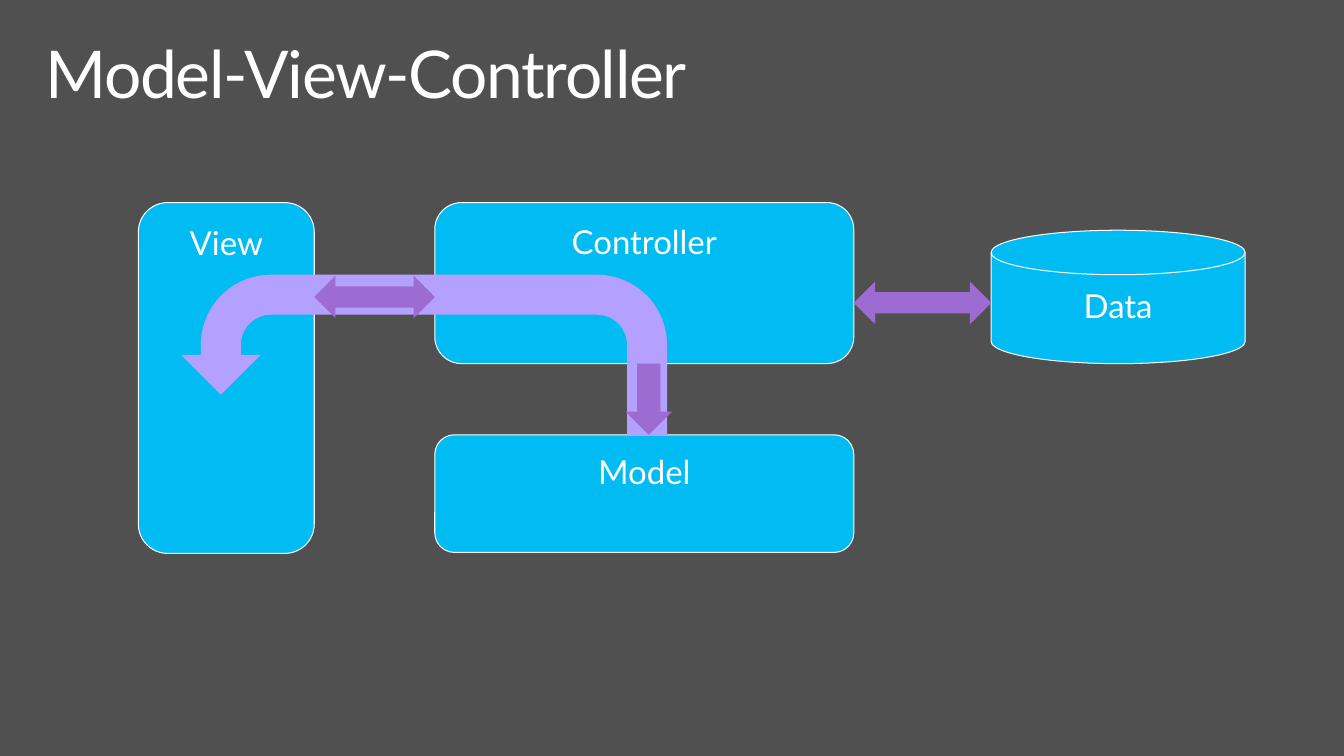
from dataclasses import dataclass

from pptx import Presentation
from pptx.dml.color import RGBColor
from pptx.enum.shapes import MSO_SHAPE
from pptx.enum.text import MSO_ANCHOR, MSO_AUTO_SIZE, PP_ALIGN
from pptx.util import Inches, Pt

ROUNDED = MSO_SHAPE.ROUNDED_RECTANGLE
DISK = MSO_SHAPE.FLOWCHART_MAGNETIC_DISK
UTURN = MSO_SHAPE.U_TURN_ARROW
BOTH_WAYS = MSO_SHAPE.LEFT_RIGHT_ARROW
DOWN = MSO_SHAPE.DOWN_ARROW
TOP, MIDDLE = MSO_ANCHOR.TOP, MSO_ANCHOR.MIDDLE
LEFT, CENTER = PP_ALIGN.LEFT, PP_ALIGN.CENTER
NO_AUTOFIT = MSO_AUTO_SIZE.NONE


@dataclass(frozen=True)
class Theme:
    background: RGBColor = RGBColor.from_string("505050")
    component: RGBColor = RGBColor.from_string("00BCF2")
    update: RGBColor = RGBColor.from_string("B4A0FF")
    exchange: RGBColor = RGBColor.from_string("9C6CD2")
    white: RGBColor = RGBColor.from_string("FFFFFF")
    font: str = "Lato"
    title_size: int = 48
    label_size: int = 24


theme = Theme()


def write(frame, text, *, size, align, anchor, inset_x, inset_y, tracking=0):
    frame.word_wrap = True
    frame.auto_size = NO_AUTOFIT
    frame.vertical_anchor = anchor
    frame.margin_left = frame.margin_right = Inches(inset_x)
    frame.margin_top = frame.margin_bottom = Inches(inset_y)
    paragraph = frame.paragraphs[0]
    paragraph.alignment = align
    paragraph.line_spacing = 0.9
    run = paragraph.add_run()
    run.text = text
    run.font.name = theme.font
    run.font.size = Pt(size)
    run.font.color.rgb = theme.white
    if tracking:
        run.font._element.set("spc", str(tracking * 100))


def add_block(kind, box, fill):
    block = slide.shapes.add_shape(kind, *map(Inches, box))
    block.shadow.inherit = False
    block.fill.solid()
    block.fill.fore_color.rgb = fill
    block.line.fill.background()
    return block


deck = Presentation()
deck.slide_width, deck.slide_height = Inches(13.6), Inches(7.65)
slide = deck.slides.add_slide(deck.slide_layouts[5])
slide.background.fill.solid()
slide.background.fill.fore_color.rgb = theme.background

title = slide.shapes.title
title.left, title.top = Inches(0.3), Inches(0.32)
title.width, title.height = Inches(13), Inches(1)
write(title.text_frame, "Model-View-Controller", size=theme.title_size,
      align=LEFT, anchor=TOP, inset_x=0.16, inset_y=0.1, tracking=-1)

components = [
    ("Model", ROUNDED, (4.4, 4.4, 4.24, 1.19), TOP),
    ("Controller", ROUNDED, (4.4, 2.05, 4.24, 1.63), TOP),
    ("View", ROUNDED, (1.4, 2.05, 1.78, 3.55), TOP),
    ("Data", DISK, (10.03, 2.33, 2.57, 1.35), MIDDLE),
]
for name, kind, box, anchor in components:
    component = add_block(kind, box, theme.component)
    component.line.color.rgb = theme.white
    component.line.width = Pt(0.75)
    write(component.text_frame, name, size=theme.label_size,
          align=CENTER, anchor=anchor, inset_x=0.2, inset_y=0.16)

model_to_view = add_block(UTURN, (1.83, 2.78, 4.92, 1.62), theme.update)
model_to_view.element.spPr.xfrm.set("flipH", "1")

exchanges = [
    (BOTH_WAYS, (8.64, 2.85, 1.39, 0.43)),
    (DOWN, (6.33, 3.68, 0.47, 0.72)),
    (BOTH_WAYS, (3.18, 2.79, 1.22, 0.43)),
]
for kind, box in exchanges:
    add_block(kind, box, theme.exchange)

deck.save("out.pptx")
